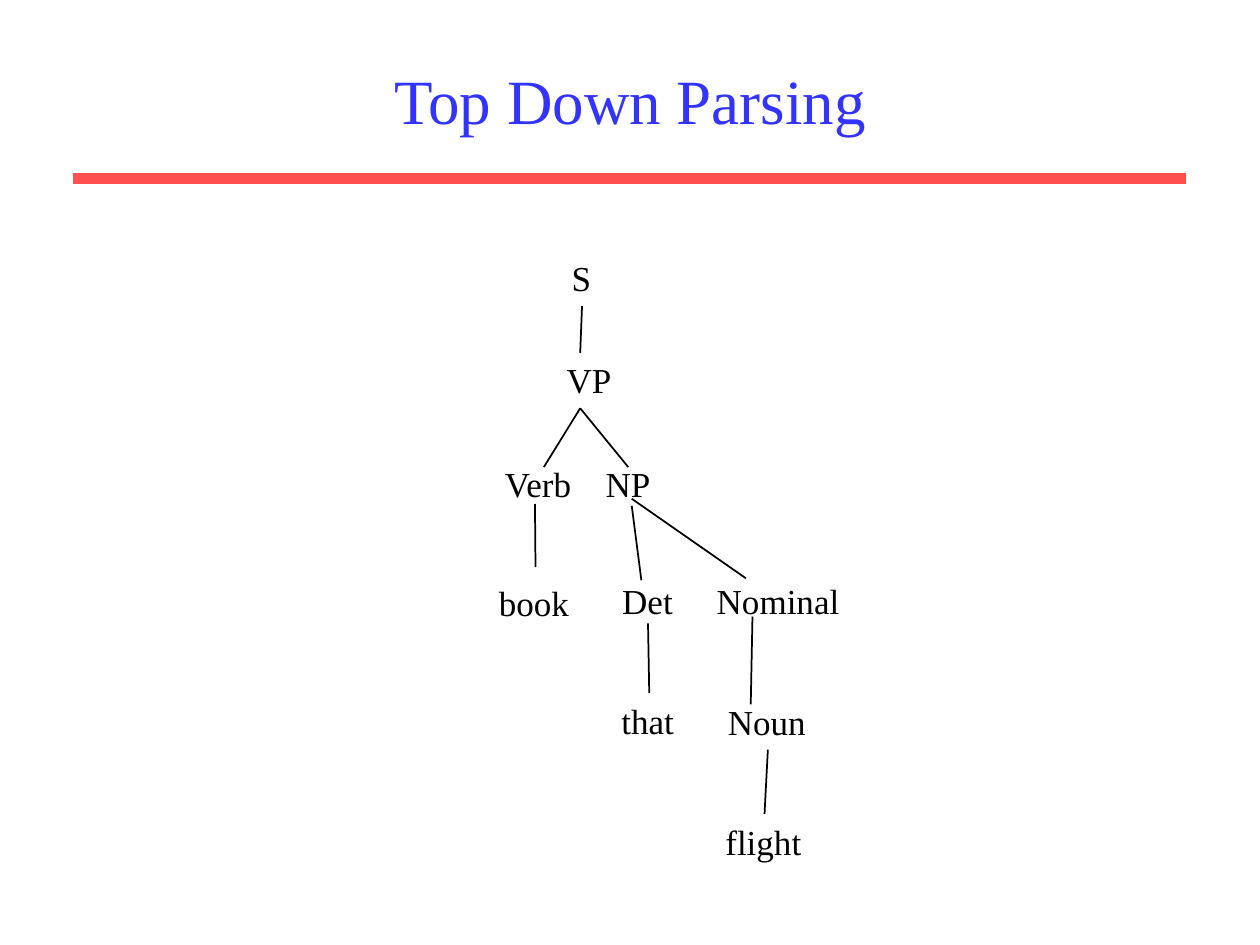
from lxml.etree import SubElement
from pptx import Presentation
from pptx.dml.color import RGBColor
from pptx.enum.shapes import MSO_CONNECTOR as Link
from pptx.enum.text import MSO_ANCHOR as Anchor, PP_ALIGN as Align
from pptx.oxml.ns import qn
from pptx.util import Pt

BLUE = RGBColor(0x33, 0x33, 0xFF)
RED = RGBColor(0xFF, 0x50, 0x50)
BLACK = RGBColor(0, 0, 0)
FONT = "Times New Roman"
HIGH = 31.7
TOP, BOTTOM = 0, 2

TITLE = "Top Down Parsing"
# word: left, top, width, alignment
NODES = {
    "S": (319.6, 143.3, 26, Align.LEFT),
    "VP": (306.7, 201.6, 49.7, Align.RIGHT),
    "Verb": (281.5, 260.6, 56, Align.LEFT),
    "NP": (339, 260.6, 41, Align.LEFT),
    "book": (278, 329, 56, Align.LEFT),
    "Det": (348.5, 327.8, 44, Align.LEFT),
    "Nominal": (402.5, 327.8, 86, Align.LEFT),
    "that": (348, 396, 46, Align.LEFT),
    "Noun": (408.8, 396.7, 60, Align.LEFT),
    "flight": (407.4, 465.1, 59, Align.LEFT),
}
# Each end is a word to join, or a free point close to one
BRANCHES = [
    ("S", "VP"),
    ("VP", (310.8, 266.9)),
    ("VP", (359, 266.9)),
    ((305.7, 288), (306, 324)),
    ((361, 289), (366.5, 331.6)),
    ((361, 285), (426.3, 330.5)),
    ((370.3, 356.2), "that"),
    ((430, 352.3), (429, 402.5)),
    ("Noun", "flight"),
]


def style(par, size, color, align):
    par.alignment = align
    font = par.runs[0].font
    font.name, font.size = FONT, Pt(size)
    font.color.rgb = color


def add_line(slide, start, end, color, width):
    spots = [Pt(v) for v in (*start, *end)]
    line = slide.shapes.add_connector(Link.STRAIGHT, *spots)
    line.line.color.rgb = color
    line.line.width = Pt(width)
    SubElement(line._element.spPr, qn("a:effectLst"))
    return line


def add_title(slide):
    title = slide.shapes.title
    title.left, title.top = Pt(54), Pt(18)
    title.width, title.height = Pt(612), Pt(78)
    frame = title.text_frame
    frame.text = TITLE
    frame.vertical_anchor = Anchor.MIDDLE
    style(frame.paragraphs[0], 36, BLUE, Align.CENTER)


def add_node(slide, word):
    left, top, width, align = NODES[word]
    box = slide.shapes.add_textbox(Pt(left), Pt(top), Pt(width), Pt(HIGH))
    frame = box.text_frame
    frame.word_wrap = True
    frame.text = word
    style(frame.paragraphs[0], 20, BLACK, align)
    return box


def find_end(end, side):
    if not isinstance(end, str):
        return end
    left, top, width, _ = NODES[end]
    return left + width / 2, top + (HIGH if side == BOTTOM else 0)


def add_branch(slide, boxes, start, end):
    line = add_line(slide, find_end(start, BOTTOM), find_end(end, TOP), BLACK, 1)
    if start in boxes:
        line.begin_connect(boxes[start], BOTTOM)
    if end in boxes:
        line.end_connect(boxes[end], TOP)


def main():
    deck = Presentation()
    deck.slide_width, deck.slide_height = Pt(720), Pt(540)
    slide = deck.slides.add_slide(deck.slide_layouts[5])
    add_line(slide, (42, 102), (678, 102), RED, 6)
    add_title(slide)
    boxes = {word: add_node(slide, word) for word in NODES}
    for start, end in BRANCHES:
        add_branch(slide, boxes, start, end)
    deck.save("out.pptx")


if __name__ == "__main__":
    main()
